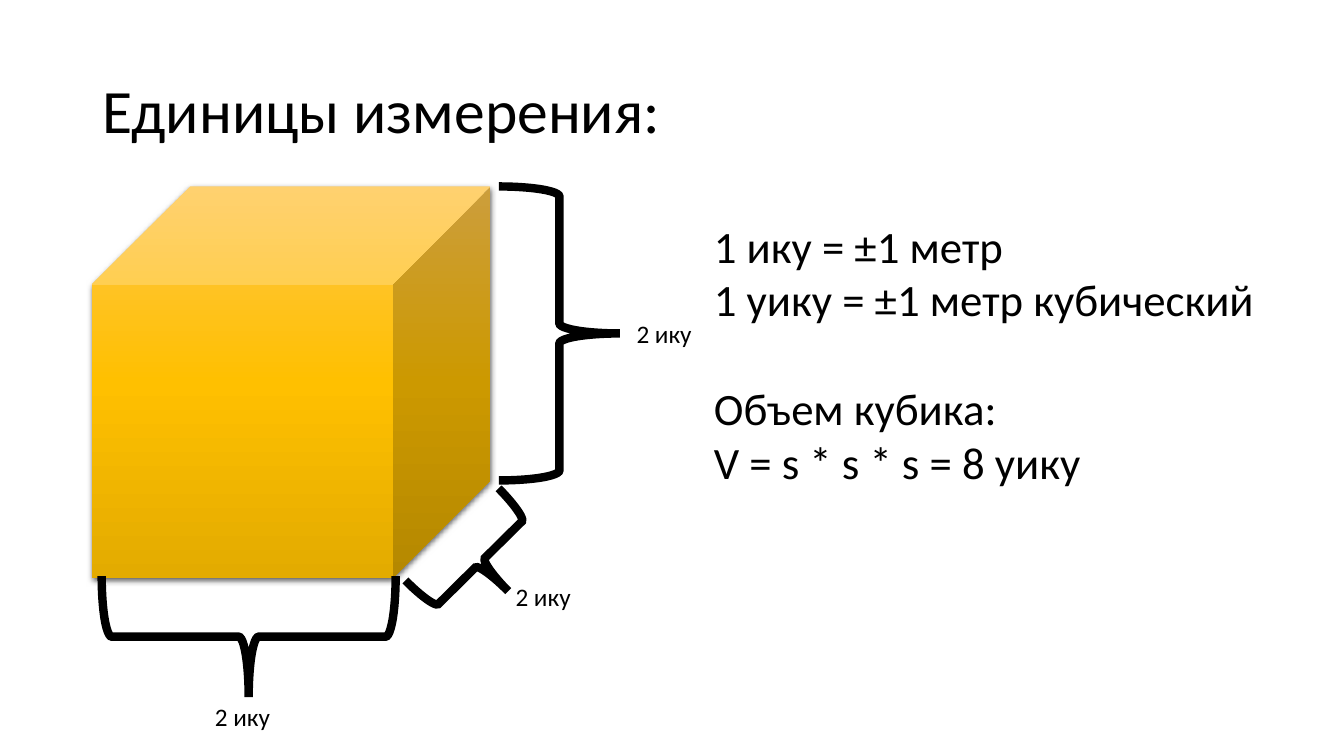
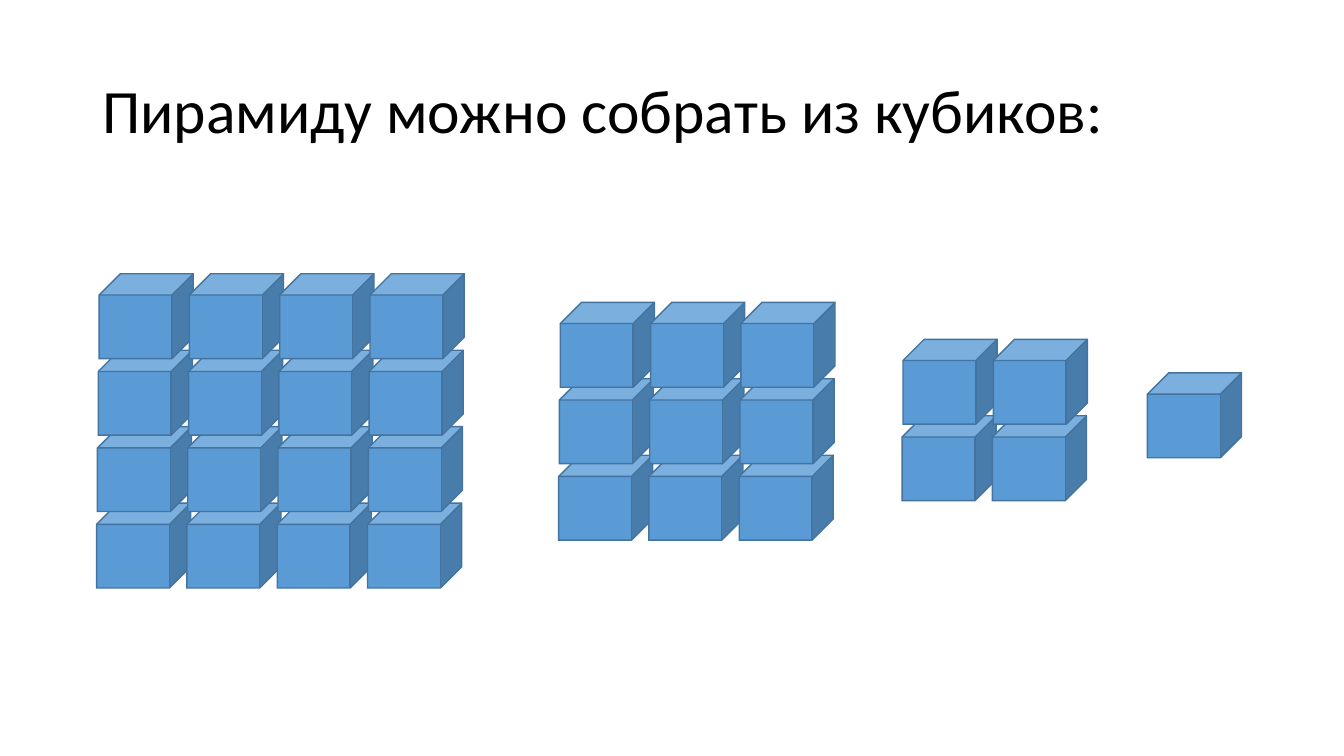
"""Builds two slides on measuring a cube and stacking a pyramid from cubes."""
from copy import deepcopy
from dataclasses import dataclass
from typing import Any

from lxml import etree
from pptx import Presentation
from pptx import util as u
from pptx.dml.color import RGBColor
from pptx.enum import shapes, text
from pptx.oxml import ns

COLUMNS, ROWS = 160, 90
CELL = u.Inches(1) / 12


@dataclass(frozen=True)
class Theme:
    font: str = "Calibri"
    ink: str = "000000"
    cube_fill: str = "5B9BD5"
    cube_line: str = "43739E"
    gold: tuple[str, ...] = ("FFC64B", "FFC000", "E3AB00")
    title_size: int = 44
    body_size: int = 32
    label_size: int = 18
    brace_weight: int = 6
    cube_weight: int = 1


@dataclass(frozen=True)
class Area:
    left: float
    top: float
    width: float
    height: float

    def emu(self) -> tuple[int, ...]:
        return tuple(round(v * CELL) for v in (self.left, self.top, self.width, self.height))


@dataclass(frozen=True)
class Measure:
    brace: Area
    turn: float
    label_left: float
    label_top: float


@dataclass(frozen=True)
class Stack:
    left: float
    bottom_row: float
    side: int


THEME = Theme()
TITLE = Area(11, 4.8, 138, 17.4)
BIG_CUBE = Area(11, 22.2, 47.4, 46.6)
FORMULAS = Area(83.8, 25.4, 67.3, 40)
EDGE_LABEL = "2 ику"
LABEL_WIDTH, LABEL_HEIGHT = 9.1, 4.8
MEASURES = (
    Measure(Area(59.4, 22.2, 14.4, 35), 0, 74.6, 37.3),
    Measure(Area(22.4, 58.3, 14.4, 35), 90, 24.4, 82.9),
    Measure(Area(52.4, 59.2, 9.5, 15.6), 45.3, 60.2, 68.6),
)
FORMULA_GROUPS = (
    ("1 ику = ±1 метр", "1 уику = ±1 метр кубический"),
    ("Объем кубика:", "V = s * s * s = 8 уику"),
)
STACKS = (
    Stack(11.5, 59.9, 4),
    Stack(66.5, 54.2, 3),
    Stack(107.4, 49.5, 2),
    Stack(136.6, 44.4, 1),
)
CUBE_WIDTH, CUBE_HEIGHT = 11.2, 10.1
COLUMN_STEP, ROW_STEP, ROW_SHIFT = 10.75, 9.1, 0.1


def apply(target: Any, values: dict[str, Any]) -> None:
    for name, value in values.items():
        setattr(target, name, value)


def add_text(page: Any, area: Area, groups: tuple[tuple[str, ...], ...], size: int,
             frame: dict[str, Any], spacing: float = 1.0) -> None:
    box = page.shapes.add_textbox(*area.emu()).text_frame
    apply(box, frame)
    for group_index, group in enumerate(groups):
        for line_index, line in enumerate(group):
            first = group_index == line_index == 0
            para = box.paragraphs[0] if first else box.add_paragraph()
            para.line_spacing = spacing
            if group_index and not line_index:
                para.space_before = u.Pt(round(size * 1.22))
            span = para.add_run()
            span.text = line
            apply(span.font, {"name": THEME.font, "size": u.Pt(size)})
            span.font.color.rgb = RGBColor.from_string(THEME.ink)


def add_title(page: Any, title: str) -> None:
    frame = {"word_wrap": True, "vertical_anchor": text.MSO_ANCHOR.MIDDLE}
    add_text(page, TITLE, ((title,),), THEME.title_size, frame, 0.9)


def add_figure(page: Any, kind: Any, area: Area, fill: str | None = None,
               line: str | None = None, weight: float = 0, turn: float = 0) -> Any:
    figure = page.shapes.add_shape(kind, *area.emu())
    figure.shadow.inherit = False
    figure.rotation = turn
    if fill:
        figure.fill.solid()
        figure.fill.fore_color.rgb = RGBColor.from_string(fill)
    else:
        figure.fill.background()
    if line:
        figure.line.color.rgb = RGBColor.from_string(line)
        figure.line.width = u.Pt(weight)
        outline = figure.element.spPr.find(ns.qn("a:ln"))
        etree.SubElement(outline, ns.qn("a:miter"), lim="800000")
    else:
        figure.line.fill.background()
    return figure


def add_gold_cube(page: Any) -> None:
    cube = add_figure(page, shapes.MSO_SHAPE.CUBE, BIG_CUBE)
    cube.fill.gradient()
    cube.fill.gradient_angle = 270
    properties = cube.element.spPr
    stop_list = next(properties.iter(ns.qn("a:gsLst")))
    stop_list.append(deepcopy(stop_list[-1]))
    for index, (stop, tone) in enumerate(zip(cube.fill.gradient_stops, THEME.gold)):
        stop.color.rgb = RGBColor.from_string(tone)
        stop.position = index / (len(THEME.gold) - 1)
    effects = properties.find(ns.qn("a:effectLst"))
    shadow = etree.SubElement(effects, ns.qn("a:outerShdw"), blurRad=str(u.Pt(4.5)),
                              dist=str(u.Pt(1.5)), dir="5400000", algn="ctr", rotWithShape="0")
    shade = etree.SubElement(shadow, ns.qn("a:srgbClr"), val=THEME.ink)
    etree.SubElement(shade, ns.qn("a:alpha"), val="63000")


def build_units(page: Any) -> None:
    frame = {"word_wrap": False, "auto_size": text.MSO_AUTO_SIZE.SHAPE_TO_FIT_TEXT}
    add_title(page, "Единицы измерения:")
    add_gold_cube(page)
    for item in MEASURES:
        add_figure(page, shapes.MSO_SHAPE.RIGHT_BRACE, item.brace, line=THEME.ink,
                   weight=THEME.brace_weight, turn=item.turn)
        label = Area(item.label_left, item.label_top, LABEL_WIDTH, LABEL_HEIGHT)
        add_text(page, label, ((EDGE_LABEL,),), THEME.label_size, frame)
    add_text(page, FORMULAS, FORMULA_GROUPS, THEME.body_size, frame)


def add_stack(page: Any, stack: Stack) -> None:
    for column in range(stack.side):
        for level in range(stack.side):
            area = Area(stack.left + column * COLUMN_STEP + level * ROW_SHIFT,
                        stack.bottom_row - level * ROW_STEP, CUBE_WIDTH, CUBE_HEIGHT)
            add_figure(page, shapes.MSO_SHAPE.CUBE, area, THEME.cube_fill,
                       THEME.cube_line, THEME.cube_weight)


def build_pyramid(page: Any) -> None:
    add_title(page, "Пирамиду можно собрать из кубиков:")
    for stack in STACKS:
        add_stack(page, stack)


def main() -> None:
    deck = Presentation()
    apply(deck, {"slide_width": round(COLUMNS * CELL), "slide_height": round(ROWS * CELL)})
    for build in (build_units, build_pyramid):
        build(deck.slides.add_slide(deck.slide_layouts[6]))
    deck.save("out.pptx")


if __name__ == "__main__":
    main()
